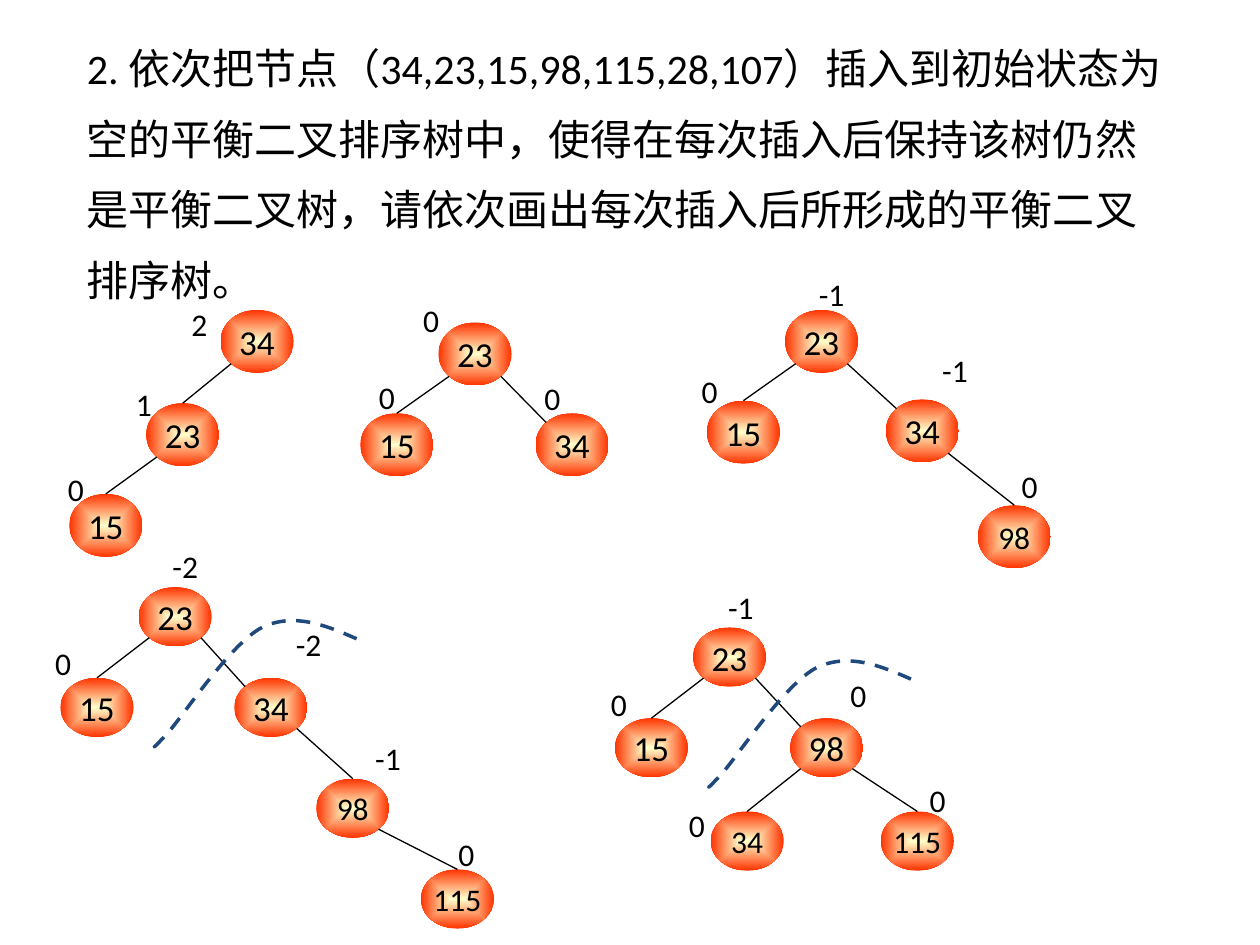
from collections import namedtuple

from lxml import etree
from pptx import Presentation
from pptx.dml.color import RGBColor
from pptx.enum.dml import MSO_LINE
from pptx.enum.shapes import MSO_CONNECTOR, MSO_SHAPE
from pptx.enum.text import MSO_ANCHOR, MSO_AUTO_SIZE, PP_ALIGN
from pptx.oxml.ns import qn
from pptx.util import Inches, Pt

DASH = MSO_LINE.DASH
STRAIGHT = MSO_CONNECTOR.STRAIGHT
OVAL = MSO_SHAPE.OVAL
TOP, MIDDLE = MSO_ANCHOR.TOP, MSO_ANCHOR.MIDDLE
NO_AUTOFIT = MSO_AUTO_SIZE.NONE
LEFT, CENTER = PP_ALIGN.LEFT, PP_ALIGN.CENTER

FONT = "Calibri"
BLACK, NAVY = "000000", "1F497D"
NODE_CENTRE, NODE_EDGE = "FFFFCC", "FF3300"
NODE_WIDTH = 0.58
LABEL_HEIGHT = 0.4
DIAGONAL = 0.5 ** 0.5 / 2

QUESTION = (
    "2. 依次把节点（34,23,15,98,115,28,107）插入到初始状态为空的平衡二叉排序树中，"
    "使得在每次插入后保持该树仍然是平衡二叉树，请依次画出每次插入后所形成的平衡二叉排序树。"
)

Box = namedtuple("Box", "left top width height")
Node = namedtuple("Node", "key x y size parent factor label_x label_y label_width")
Tree = namedtuple("Tree", "left top node_height split nodes")

TREES = [
    Tree(1.75, 2.46, 0.5, False, [
        Node("34", 0, 0, 20, None, "2", -0.33, -0.09, 0.27),
        Node("23", -0.59, 0.74, 20, "34", "1", -0.18, -0.19, 0.27),
        Node("15", -1.2, 1.46, 20, "23", "0", -0.11, -0.24, 0.27),
    ]),
    Tree(3.48, 2.56, 0.5, False, [
        Node("23", 0, 0, 20, None, "0", -0.22, -0.22, 0.27),
        Node("15", -0.62, 0.72, 20, "23", "0", 0.05, -0.33, 0.27),
        Node("34", 0.77, 0.72, 20, "23", "0", 0, -0.32, 0.17),
    ]),
    Tree(6.23, 2.46, 0.5, False, [
        Node("23", 0, 0, 20, None, "-1", 0.17, -0.33, 0.58),
        Node("15", -0.62, 0.72, 20, "23", "0", -0.14, -0.28, 0.46),
        Node("34", 0.8, 0.71, 20, "23", "-1", 0.35, -0.43, 0.46),
        Node("98", 1.53, 1.55, 18, "34", "0", 0.25, -0.35, 0.46),
    ]),
    Tree(1.1, 4.66, 0.47, True, [
        Node("23", 0, 0, 20, None, "-2", 0.17, -0.37, 0.58),
        Node("15", -0.62, 0.72, 20, "23", "0", -0.14, -0.32, 0.46),
        Node("34", 0.76, 0.72, 20, "23", "-2", 0.39, -0.47, 0.46),
        Node("98", 1.41, 1.52, 18, "34", "-1", 0.37, -0.36, 0.46),
        Node("115", 2.24, 2.24, 18, "98", "0", 0.2, -0.32, 0.46),
    ]),
    Tree(5.5, 4.98, 0.47, True, [
        Node("23", 0, 0, 20, None, "-1", 0.18, -0.36, 0.58),
        Node("15", -0.62, 0.72, 20, "23", "0", -0.13, -0.31, 0.46),
        Node("98", 0.77, 0.72, 20, "23", "0", 0.38, -0.38, 0.46),
        Node("115", 1.49, 1.46, 18, "98", "0", 0.29, -0.29, 0.46),
        Node("34", 0.14, 1.46, 18, "98", "0", -0.27, -0.09, 0.46),
    ]),
]
SPLIT_CURVE = [
    (1.73, 0.41),
    (1.48, 0.3), (1.23, 0.2), (0.98, 0.32),
    (0.73, 0.45), (0.37, 1), (0.23, 1.16),
    (0.09, 1.31), (0.12, 1.27), (0.14, 1.24),
]


def colour(value):
    return RGBColor.from_string(value)


def set_values(target, values):
    for name, value in values.items():
        setattr(target, name, value)


def write(shape, text, size, frame_values, paragraph_values):
    frame = shape.text_frame
    set_values(frame, frame_values)
    paragraph = frame.paragraphs[0]
    set_values(paragraph, paragraph_values)
    run = paragraph.add_run()
    run.text = text
    set_values(run.font, {"name": FONT, "size": Pt(size)})
    run.font.color.rgb = colour(BLACK)


def add_question(slide, box):
    title = slide.shapes.title
    set_values(title, {name: Inches(value) for name, value in box._asdict().items()})
    write(title, QUESTION, 24,
          {"word_wrap": True, "auto_size": NO_AUTOFIT, "vertical_anchor": TOP},
          {"alignment": LEFT, "line_spacing": 1.4})


def add_node(shapes, box, key, size):
    shape = shapes.add_shape(OVAL, *map(Inches, box))
    shape.shadow.inherit = False
    shape.line.fill.background()
    shape.fill.gradient()
    for stop, value in zip(shape.fill.gradient_stops, (NODE_CENTRE, NODE_EDGE)):
        stop.color.rgb = colour(value)
    linear = next(shape.element.spPr.iter(qn("a:lin")))
    gradient = linear.getparent()
    gradient.remove(linear)
    path = etree.SubElement(gradient, qn("a:path"), path="shape")
    etree.SubElement(path, qn("a:fillToRect"), l="50000", t="50000", r="50000", b="50000")
    write(shape, key, size, {"word_wrap": False, "vertical_anchor": MIDDLE},
          {"alignment": CENTER})
    return shape


def add_factor(shapes, box, text):
    label = shapes.add_textbox(*map(Inches, box))
    write(label, text, 18, {"word_wrap": True}, {"alignment": LEFT})


def point_on(box, across, down):
    return (Inches(box.left + box.width * (0.5 + across)),
            Inches(box.top + box.height * (0.5 + down)))


def add_edge(shapes, parent_box, child_box, child_shape, parent_is_root):
    goes_left = child_box.left < parent_box.left
    start = point_on(parent_box, -DIAGONAL if goes_left else DIAGONAL, DIAGONAL)
    ends_at_corner = parent_is_root and not goes_left
    end = point_on(child_box, *((-DIAGONAL, -DIAGONAL) if ends_at_corner else (0, -0.5)))
    edge = shapes.add_connector(STRAIGHT, *start, *end)
    if not ends_at_corner:
        edge.end_connect(child_shape, 0)
    edge.line.width = Pt(0.75)
    edge.line.color.rgb = colour(BLACK)
    etree.SubElement(edge.element.spPr, qn("a:effectLst"))


def add_split_curve(shapes, left, top):
    points = [(Inches(left + x), Inches(top + y)) for x, y in SPLIT_CURVE]
    builder = shapes.build_freeform(*points[0])
    builder.add_line_segments(points[1:], close=False)
    curve = builder.convert_to_shape()
    segments = list(curve.element.spPr.iter(qn("a:lnTo")))
    path = segments[0].getparent()
    for first in range(0, len(segments), 3):
        bezier = etree.SubElement(path, qn("a:cubicBezTo"))
        for segment in segments[first:first + 3]:
            bezier.append(segment[0])
            path.remove(segment)
    curve.shadow.inherit = False
    curve.fill.background()
    curve.line.color.rgb = colour(NAVY)
    set_values(curve.line, {"width": Pt(2), "dash_style": DASH})


def add_tree(slide, tree):
    shapes = slide.shapes.add_group_shape().shapes
    boxes = {}
    for node in tree.nodes:
        box = Box(tree.left + node.x, tree.top + node.y, NODE_WIDTH, tree.node_height)
        boxes[node.key] = box
        shape = add_node(shapes, box, node.key, node.size)
        if node.parent:
            add_edge(shapes, boxes[node.parent], box, shape,
                     node.parent == tree.nodes[0].key)
        add_factor(shapes, Box(box.left + node.label_x, box.top + node.label_y,
                               node.label_width, LABEL_HEIGHT), node.factor)
    if tree.split:
        add_split_curve(shapes, tree.left, tree.top)


def main():
    presentation = Presentation()
    set_values(presentation, {"slide_width": Inches(10), "slide_height": Inches(7.5)})
    slide = presentation.slides.add_slide(presentation.slide_layouts[5])
    add_question(slide, Box(0.59, 0.13, 8.82, 2.31))
    for tree in TREES:
        add_tree(slide, tree)
    presentation.save("out.pptx")


if __name__ == "__main__":
    main()
